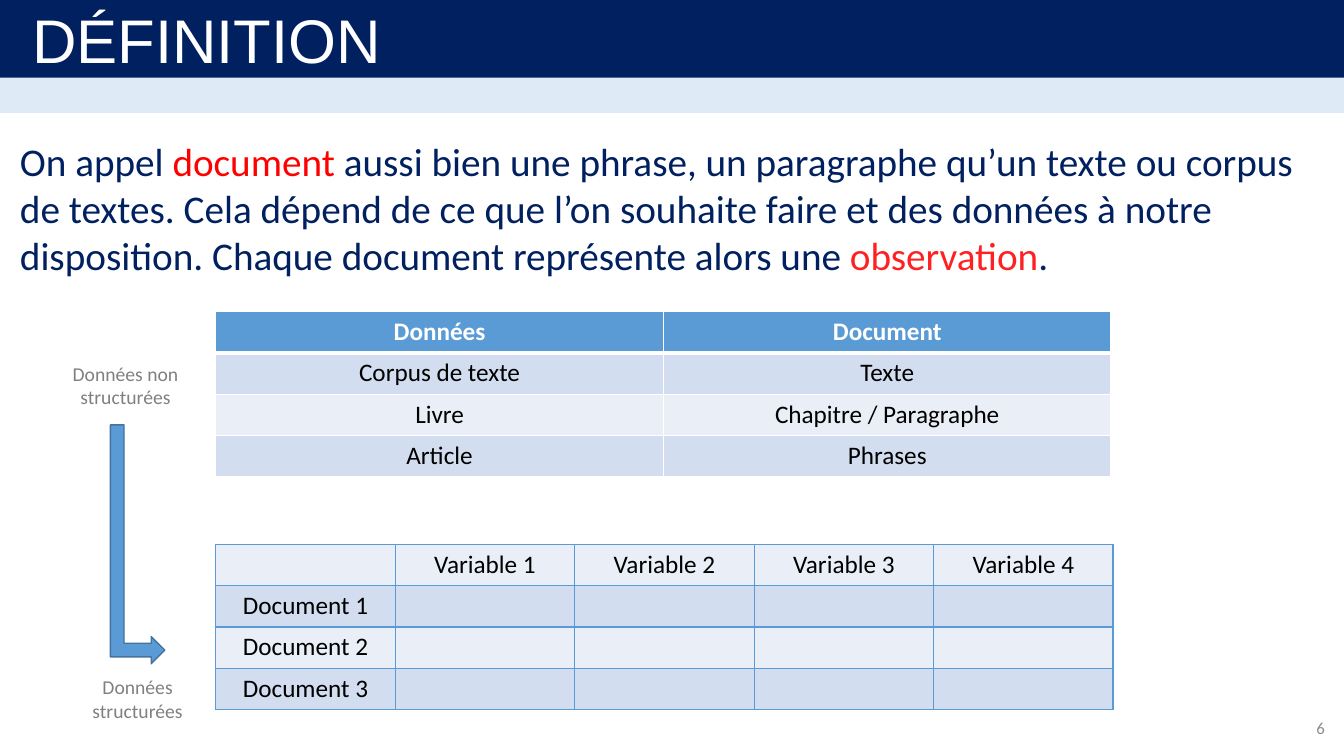
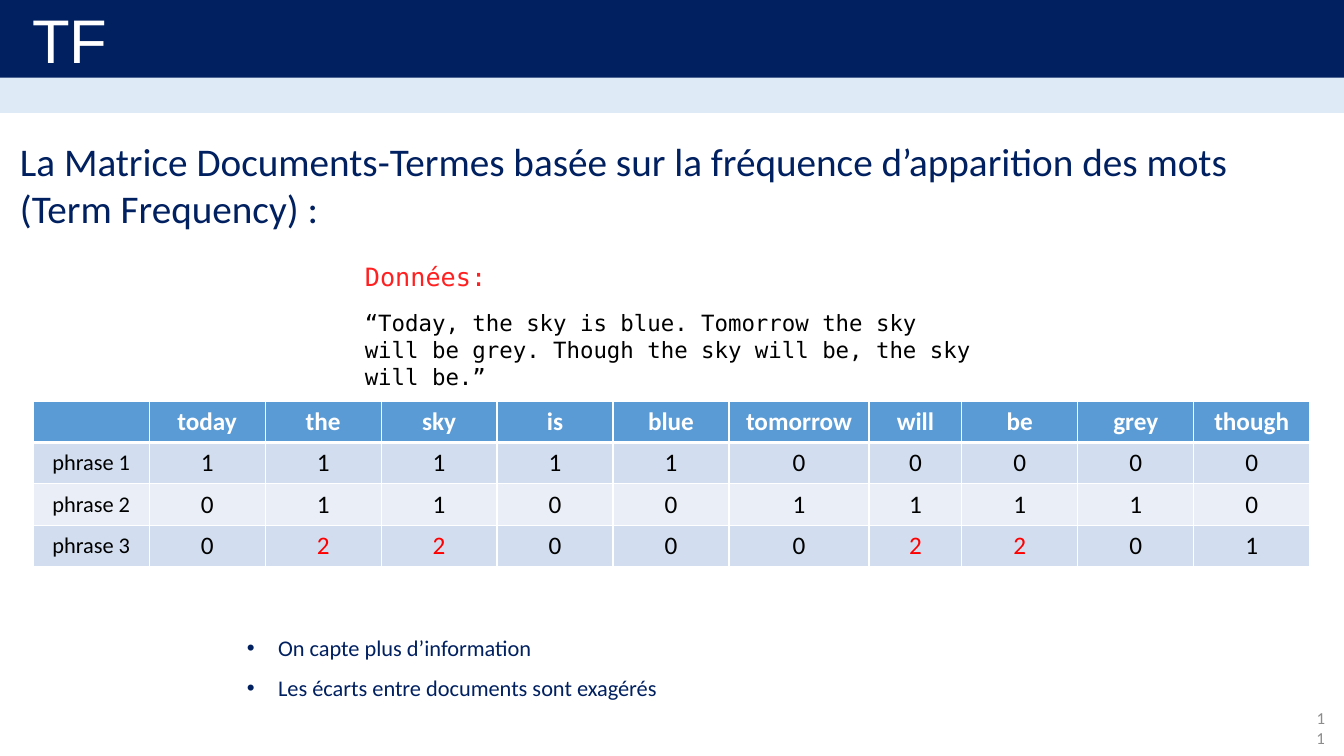
from lxml import etree
from pptx import Presentation
from pptx import util as u
from pptx.dml.color import RGBColor
from pptx.enum import shapes, text
from pptx.oxml.ns import qn

COLORS = {
    "navy": "002060", "pale": "DEEBF7", "white": "FFFFFF", "black": "000000",
    "blue": "5B9BD5", "outline": "43739E", "band": "D2DEEF", "light": "EAEFF7",
    "red": "FF0000", "coral": "FF2121", "grey": "808080", "number": "8C8C8C",
}
BODY, TITLE, MONO = "Calibri", "Arial", "DejaVu Sans Mono"
WIDTH, HEIGHT, ROW_HEIGHT = 13.33, 7.5, 0.41
LEFT, CENTER, RIGHT = text.PP_ALIGN.LEFT, text.PP_ALIGN.CENTER, text.PP_ALIGN.RIGHT
TOP, MIDDLE = text.MSO_ANCHOR.TOP, text.MSO_ANCHOR.MIDDLE


def rgb(name):
    """Return the named colour."""
    return RGBColor.from_string(COLORS[name])


def inches(box):
    """Convert a box in inches to lengths."""
    return [u.Inches(value) for value in box]


def set_font(font, size, color, name=BODY, bold=False):
    """Set the size, colour, typeface and weight of a font."""
    font.size, font.name, font.bold = u.Pt(size), name, bold
    font.color.rgb = rgb(color)


def add_shape(slide, kind, box, fill, line=None):
    """Add a filled preset shape without a shadow."""
    shape = slide.shapes.add_shape(kind, *inches(box))
    shape.shadow.inherit = False
    shape.fill.solid()
    shape.fill.fore_color.rgb = rgb(fill)
    if line:
        shape.line.color.rgb = rgb(line)
        shape.line.width = u.Pt(1)
    else:
        shape.line.fill.background()
    return shape


def add_text(slide, box, runs, size, color, name=BODY, align=LEFT, anchor=TOP):
    """Add a wrapped paragraph of (words, colour) runs and return its frame."""
    frame = slide.shapes.add_textbox(*inches(box)).text_frame
    frame.word_wrap, frame.vertical_anchor = True, anchor
    paragraph = frame.paragraphs[0]
    paragraph.alignment = align
    set_font(paragraph.font, size, color, name)
    for words, run_color in [(runs, None)] if isinstance(runs, str) else runs:
        run = paragraph.add_run()
        run.text = words
        if run_color:
            run.font.color.rgb = rgb(run_color)
    return frame


def add_frame(presentation, title, number):
    """Add a slide with its bands, title and slide number."""
    slide = presentation.slides.add_slide(presentation.slide_layouts[6])
    rectangle = shapes.MSO_SHAPE.RECTANGLE
    add_shape(slide, rectangle, (0, 0.76, WIDTH, 0.36), "pale")
    add_shape(slide, rectangle, (0, 0, WIDTH, 0.77), "navy")
    add_text(slide, (0.22, -0.03, 13, 0.84), title, 44, "white", TITLE, anchor=MIDDLE)
    add_text(slide, (12.94, 7.02, 0.3, 0.4), str(number), 12, "number",
             align=RIGHT, anchor=MIDDLE)
    return slide


def add_lead(slide, runs):
    """Add the large introductory paragraph."""
    add_text(slide, (0.1, 1.31, 12.96, 1.5), runs, 28, "navy")


def set_border(cell, side, color, points):
    """Draw one side of a cell's border."""
    line = etree.SubElement(cell._tc.get_or_add_tcPr(), qn(f"a:ln{side}"),
                            w=str(int(u.Pt(points))))
    fill = etree.SubElement(line, qn("a:solidFill"))
    etree.SubElement(fill, qn("a:srgbClr"), val=COLORS[color])


def add_table(slide, left, top, widths, rows, header=True, border="white",
              anchor=TOP, label_size=18):
    """Add a banded table, with or without a coloured header row."""
    box = inches((left, top, sum(widths), ROW_HEIGHT * len(rows)))
    table = slide.shapes.add_table(len(rows), len(widths), *box).table
    table.first_row = table.horz_banding = False
    for column, width in zip(table.columns, widths):
        column.width = u.Inches(width)
    for r, row in enumerate(rows):
        table.rows[r].height = u.Inches(ROW_HEIGHT)
        is_header = header and r == 0
        for c, value in enumerate(row):
            cell = table.cell(r, c)
            cell.vertical_anchor = anchor
            for side in "LRTB":
                thick = header and (r, side) in ((0, "B"), (1, "T"))
                set_border(cell, side, border, 3 if thick else 1)
            cell.fill.solid()
            banding = "band" if r % 2 else "light"
            cell.fill.fore_color.rgb = rgb("blue" if is_header else banding)
            cell.text = value
            paragraph = cell.text_frame.paragraphs[0]
            paragraph.alignment = CENTER
            size = label_size if c == 0 and r > 0 else 18
            color = "white" if is_header else "red" if value == "2" else "black"
            set_font(paragraph.font, size, color, bold=is_header)


def add_structuring_arrow(slide, left, top):
    """Add the bent arrow between its two captions."""
    for dx, dy, caption in ((0, 0, "Données non structurées"),
                            (0.12, 3.11, "Données structurées")):
        add_text(slide, (left + dx, top + dy, 1.41, 0.57), caption, 14, "grey",
                 align=CENTER)
    arrow = add_shape(slide, shapes.MSO_SHAPE.BENT_UP_ARROW,
                      (left - 0.36, top + 1.59, 2.37, 0.54), "blue", "outline")
    arrow.rotation = 90


def add_quote(slide, box, heading, quote):
    """Add a monospaced heading and the sample sentences below it."""
    frame = add_text(slide, box, heading, 18, "coral", MONO)
    paragraph = frame.add_paragraph()
    paragraph.text = quote
    paragraph.space_before = u.Pt(13)
    set_font(paragraph.font, 16, "black", MONO)


def add_bullets(slide, box, items):
    """Add a bulleted list with wide line spacing."""
    frame = slide.shapes.add_textbox(*inches(box)).text_frame
    frame.word_wrap = True
    for index, item in enumerate(items):
        paragraph = frame.add_paragraph() if index else frame.paragraphs[0]
        paragraph.text = item
        paragraph.line_spacing = 1.5
        properties = paragraph._p.get_or_add_pPr()
        indent = int(u.Inches(0.31))
        properties.set("marL", str(indent))
        properties.set("indent", str(-indent))
        etree.SubElement(properties, qn("a:buFont"), typeface="Arial")
        etree.SubElement(properties, qn("a:buChar"), char="•")
        set_font(paragraph.font, 16, "navy")


def build_definition(presentation):
    """Build the slide that defines a document."""
    slide = add_frame(presentation, "DÉFINITION", 6)
    add_lead(slide, [
        ("On appel ", None), ("document", "red"),
        (" aussi bien une phrase, un paragraphe qu’un texte ou corpus de textes. "
         "Cela dépend de ce que l’on souhaite faire et des données à notre "
         "disposition. Chaque document représente alors une ", None),
        ("observation", "coral"), (".", None)])
    add_table(slide, 2.14, 3.09, [4.44] * 2, [
        ("Données", "Document"), ("Corpus de texte", "Texte"),
        ("Livre", "Chapitre / Paragraphe"), ("Article", "Phrases")])
    variables = [""] + [f"Variable {n}" for n in range(1, 5)]
    documents = [[f"Document {n}"] + [""] * 4 for n in range(1, 4)]
    add_table(slide, 2.14, 5.4, [1.78] * 5, [variables] + documents,
              header=False, border="blue")
    add_structuring_arrow(slide, 0.54, 3.54)


def build_term_frequency(presentation):
    """Build the slide on the term frequency matrix."""
    slide = add_frame(presentation, "TF", 11)
    add_lead(slide, "La Matrice Documents-Termes basée sur la fréquence "
                    "d’apparition des mots (Term Frequency) :")
    add_quote(slide, (3.52, 2.54, 6.29, 1.13), "Données:",
              "“Today, the sky is blue. Tomorrow the sky will be grey. "
              "Though the sky will be, the sky will be.”")
    terms = "today the sky is blue tomorrow will be grey though".split()
    counts = ("1111100000", "0110011110", "0220002201")
    phrases = [[f"phrase {n}", *row] for n, row in enumerate(counts, 1)]
    add_table(slide, 0.33, 3.98, [1.15] * 6 + [1.39, 0.92] + [1.15] * 3,
              [["", *terms]] + phrases, anchor=MIDDLE, label_size=16)
    add_bullets(slide, (2.35, 6.11, 6.37, 0.91),
                ("On capte plus d’information",
                 "Les écarts entre documents sont exagérés"))


def main():
    """Build and save the presentation."""
    presentation = Presentation()
    presentation.slide_width = u.Inches(WIDTH)
    presentation.slide_height = u.Inches(HEIGHT)
    build_definition(presentation)
    build_term_frequency(presentation)
    presentation.save("out.pptx")


if __name__ == "__main__":
    main()
